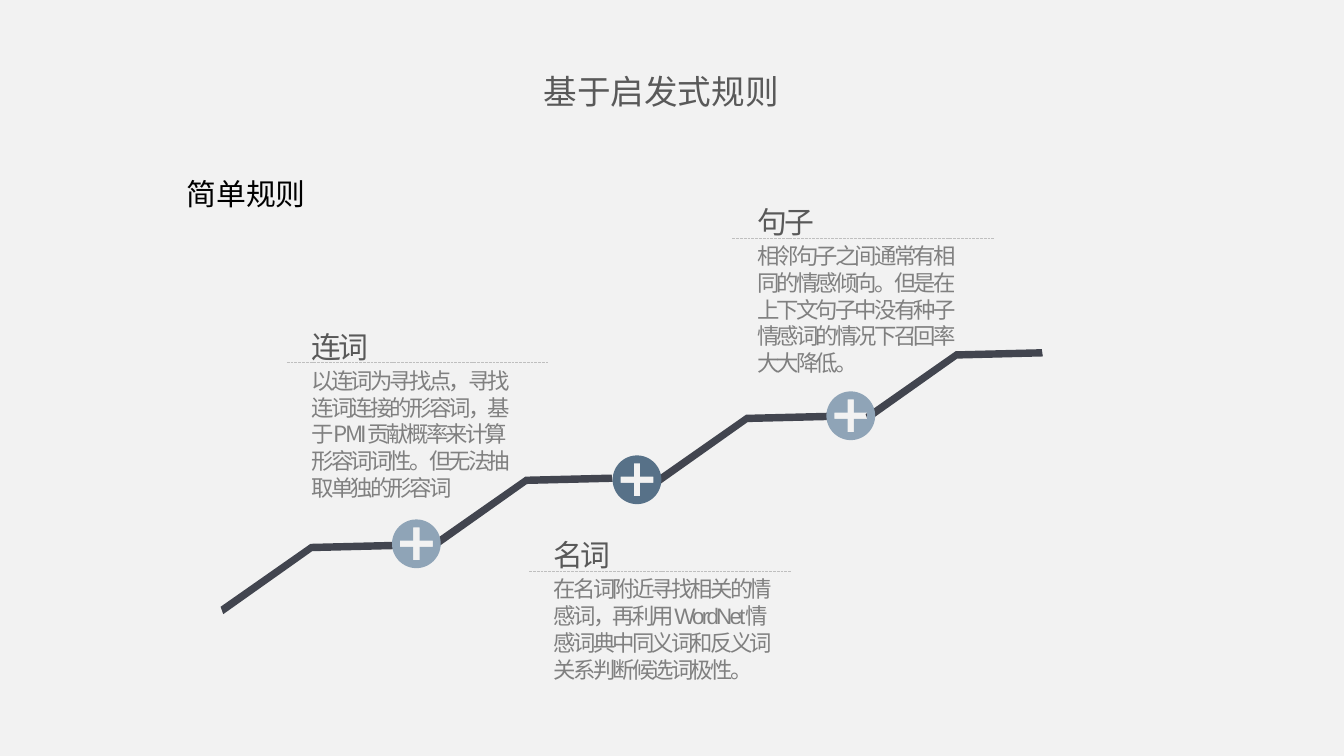
from dataclasses import dataclass
from math import cos, pi, sin

from lxml.etree import SubElement
from pptx import Presentation
from pptx.dml.color import RGBColor
from pptx.enum.dml import MSO_LINE
from pptx.enum.shapes import MSO_CONNECTOR
from pptx.enum.text import MSO_ANCHOR, PP_ALIGN
from pptx.oxml.ns import qn
from pptx.util import Cm, Pt


@dataclass(frozen=True)
class Theme:
    background: str = "F2F2F2"
    track: str = "42454F"
    badge: str = "8FA4B7"
    badge_strong: str = "577188"
    rule: str = "BFBFBF"
    title: str = "595959"
    body: str = "808080"
    label: str = "000000"
    title_size: int = 18
    head_size: int = 16
    body_size: int = 12
    font: str = "Arial"
    cjk_font: str = "Noto Sans CJK SC"


# Outline of one stair of the track, in cm from its top left corner
STAIR = [(3.33, 0), (1.7, 0.04), (0, 1.23), (0.05, 1.37), (1.73, 0.18), (3.35, 0.14)]
STAIRS = [(4.17, 10.24), (8.23, 8.97), (12.4, 7.8), (16.36, 6.6)]


class SlideBuilder:
    def __init__(self, slide, theme):
        self.slide = slide
        self.theme = theme
        fill = slide.background.fill
        fill.solid()
        fill.fore_color.rgb = RGBColor.from_string(theme.background)

    def set_text(self, sp, text, size, color, font=None, spacing=None, frame=None, para=None):
        """Fill a shape with one paragraph; spacing is in points between letters."""
        tf = sp.text_frame
        for name, value in {"word_wrap": True, **(frame or {})}.items():
            setattr(tf, name, value)
        p = tf.paragraphs[0]
        for name, value in (para or {}).items():
            setattr(p, name, value)
        r = p.add_run()
        r.text = text
        formats = {"size": Pt(size), "name": font or self.theme.font, "bold": False}
        for name, value in formats.items():
            setattr(r.font, name, value)
        r.font.color.rgb = RGBColor.from_string(color)
        if spacing is not None:
            r._r.get_or_add_rPr().set("spc", str(int(spacing * 100)))

    def title(self, text, left, top, width, height):
        sp = self.slide.shapes.title
        box = {"left": left, "top": top, "width": width, "height": height}
        for name, value in box.items():
            setattr(sp, name, Cm(value))
        self.set_text(sp, text, self.theme.title_size, self.theme.title,
                      frame={"vertical_anchor": MSO_ANCHOR.TOP},
                      para={"alignment": PP_ALIGN.CENTER})

    def text(self, text, left, top, width, height, *style, **options):
        sp = self.slide.shapes.add_textbox(Cm(left), Cm(top), Cm(width), Cm(height))
        self.set_text(sp, text, *style, **options)

    def outline(self, contours, color):
        """Draw closed contours as one shape; an inner contour is a hole."""
        builder = None
        for contour in contours:
            start, *rest = [(Cm(x), Cm(y)) for x, y in contour]
            if builder is None:
                builder = self.slide.shapes.build_freeform(*start)
            else:
                builder.move_to(*start)
            builder.add_line_segments(rest, close=True)
        sp = builder.convert_to_shape()
        sp.shadow.inherit = False
        sp.fill.solid()
        sp.fill.fore_color.rgb = RGBColor.from_string(color)
        sp.line.fill.background()

    def stair(self, left, top):
        self.outline([[(left + x, top + y) for x, y in STAIR]], self.theme.track)

    def badge(self, cx, cy, color, radius=0.46, arm=0.31, half=0.06, steps=72):
        """Draw a disc with a plus cut out of it."""
        angles = [2 * pi * i / steps for i in range(steps)]
        disc = [(cx + radius * cos(a), cy + radius * sin(a)) for a in angles]
        plus = []
        x, y = 1, 0
        for _ in range(4):  # one arm per quarter turn
            plus += [(cx + arm * x + side * half * y, cy + arm * y - side * half * x)
                     for side in (1, -1)]
            plus.append((cx + half * (x - y), cy + half * (x + y)))
            x, y = -y, x
        self.outline([disc, plus], color)

    def rule(self, left, top, width):
        line = self.slide.shapes.add_connector(
            MSO_CONNECTOR.STRAIGHT, Cm(left), Cm(top), Cm(left + width), Cm(top))
        line.line.color.rgb = RGBColor.from_string(self.theme.rule)
        line.line.width = Pt(0.5)
        line.line.dash_style = MSO_LINE.SQUARE_DOT
        SubElement(line._element.spPr, qn("a:effectLst"))

    def note(self, head, body, left, top, width, height, font):
        """Place a heading above a dashed rule at top, and its text below."""
        t = self.theme
        self.text(body, left, top - 0.05, width, height,
                  t.body_size, t.body, font, -1.5)
        self.text(head, left, top - 0.98, 4.94, 1.07, t.head_size, t.title,
                  spacing=-1.5, para={"line_spacing": 1.3})
        self.rule(left - 0.22, top, 4.94)


def main():
    prs = Presentation()
    prs.slide_width, prs.slide_height = Cm(25.4), Cm(14.29)
    t = Theme()
    s = SlideBuilder(prs.slides.add_slide(prs.slide_layouts[5]), t)

    for left, top in STAIRS:
        s.stair(left, top)
    for cx, cy, color in [(12.04, 9.07, t.badge_strong),
                          (7.87, 10.28, t.badge),
                          (16.08, 7.86, t.badge)]:
        s.badge(cx, cy, color)

    notes = [
        ("连词", "以连词为寻找点，寻找连词连接的形容词，基于PMI贡献概率来计算"
         "形容词词性。但无法抽取单独的形容词", 5.64, 6.86, 4.47, 2.82, t.cjk_font),
        ("名词", "在名词附近寻找相关的情感词，再利用WordNet情感词典中同义词和"
         "反义词关系判断候选词极性。", 10.22, 10.8, 4.72, 2.31, t.font),
        ("句子", "相邻句子之间通常有相同的情感倾向。但是在上下文句子中没有种子"
         "情感词的情况下召回率大大降低。", 14.06, 4.5, 4.47, 2.82, t.font),
    ]
    for note in notes:
        s.note(*note)

    s.text("简单规则", 3.28, 2.51, 2.79, 1.42, t.head_size, t.label,
           frame={"word_wrap": False}, para={"line_spacing": 2.0})
    s.title("基于启发式规则", 9.65, 1.22, 5.69, 1.02)
    prs.save("out.pptx")


if __name__ == "__main__":
    main()
